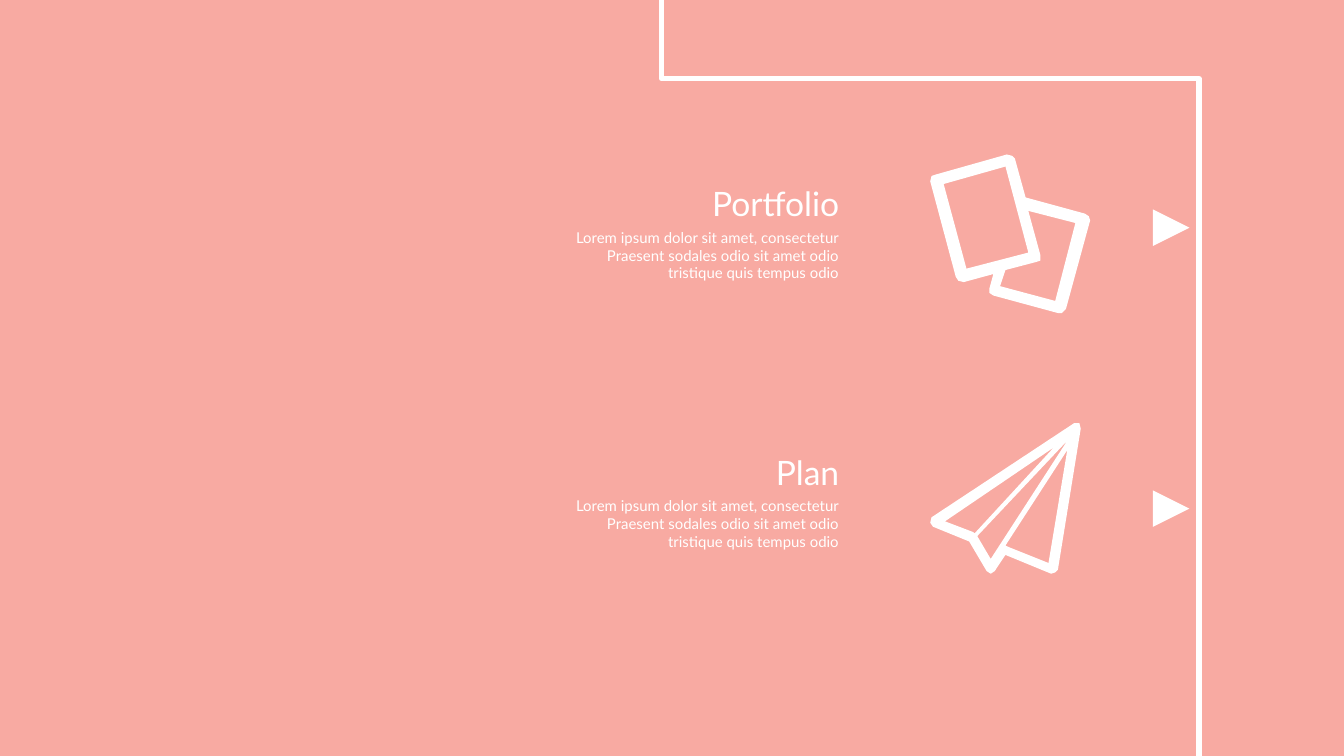
from dataclasses import dataclass

import pptx
import pptx.dml.color
import pptx.enum.shapes
import pptx.enum.text
import pptx.oxml
import pptx.oxml.ns
import pptx.util
from pptx.util import Cm, Pt

Contour = list[tuple[int, int]]

COLORS = {"background": "F8AAA2", "foreground": "FFFFFF"}
FONT = "Lato"
SLIDE_WIDTH, SLIDE_HEIGHT = 25.4, 14.29
TEXT_RIGHT = 16.11
ICON_LEFT = 17.58
ICON_SCALE = Cm(2.54) / 100  # icon points are hundredths of an inch
POINTER_LEFT, POINTER_SIZE = 21.79, 0.69
BODY = ("Lorem ipsum dolor sit amet, consectetur Praesent sodales odio "
        "sit amet odio tristique quis tempus odio")

# Icon outlines: the outer contour first, then the holes
CARDS_ICON: list[Contour] = [
    [(115, 44), (71, 32), (63, 3), (61, 1), (57, 0), (4, 15), (1, 16),
     (0, 20), (19, 91), (21, 94), (25, 95), (47, 89), (44, 100), (44, 103),
     (47, 105), (95, 118), (98, 118), (101, 115), (119, 49), (118, 46)],
    [(10, 22), (56, 9), (73, 73), (27, 85)],
    [(93, 109), (52, 98), (56, 86), (79, 80), (82, 79), (82, 75),
     (73, 42), (108, 51)],
]
PAPER_PLANE_ICON: list[Contour] = [
    [(111, 0), (107, 0), (1, 70), (0, 74), (2, 77), (29, 88), (42, 110),
     (45, 112), (48, 110), (56, 98), (90, 112), (93, 111), (95, 109),
     (112, 4)],
    [(88, 104), (58, 92), (56, 91), (102, 20)],
    [(35, 84), (102, 13), (45, 101)],
    [(11, 73), (92, 18), (33, 82), (32, 81)],
]


@dataclass
class Topic:
    heading: str
    body: str
    text_top: float
    icon_top: float
    pointer_top: float
    icon: list[Contour]


TOPICS = [
    Topic("Portfolio", BODY, 3.33, 2.92, 3.96, CARDS_ICON),
    Topic("Plan", BODY, 8.41, 8.0, 9.27, PAPER_PLANE_ICON),
]


def rgb(name: str) -> pptx.dml.color.RGBColor:
    return pptx.dml.color.RGBColor.from_string(COLORS[name])


def fill_plain(shape) -> None:
    shape.shadow.inherit = False
    shape.fill.solid()
    shape.fill.fore_color.rgb = rgb("foreground")
    shape.line.fill.background()


def add_text(slide, text: str, top: float, width: float, height: float,
             size: int, space_before: float = 0) -> None:
    box = slide.shapes.add_textbox(
        Cm(TEXT_RIGHT - width), Cm(top), Cm(width), Cm(height))
    text_frame = box.text_frame
    text_frame.word_wrap = True
    text_frame.text = text
    paragraph = text_frame.paragraphs[0]
    paragraph.alignment = pptx.enum.text.PP_ALIGN.RIGHT
    paragraph.space_before = Pt(space_before)
    font = paragraph.runs[0].font
    font.name = FONT
    font.size = Pt(size)
    font.color.rgb = rgb("foreground")


def add_icon(slide, contours: list[Contour], top: float) -> None:
    builder = slide.shapes.build_freeform(*contours[0][0], scale=ICON_SCALE)
    for index, contour in enumerate(contours):
        if index:
            builder.move_to(*contour[0])
        builder.add_line_segments(contour[1:], close=True)
    fill_plain(builder.convert_to_shape(Cm(ICON_LEFT), Cm(top)))


def add_pointer(slide, top: float) -> None:
    pointer = slide.shapes.add_shape(
        pptx.enum.shapes.MSO_SHAPE.FLOWCHART_EXTRACT, Cm(POINTER_LEFT),
        Cm(top), Cm(POINTER_SIZE), Cm(POINTER_SIZE))
    pointer.rotation = 90
    fill_plain(pointer)


def add_path(slide, start_x: float, end_x: float, bend: int) -> None:
    """Bent line from the top edge to the bottom edge of the slide."""
    center_x, center_y = (start_x + end_x) / 2, SLIDE_HEIGHT / 2
    half_length, half_span = SLIDE_HEIGHT / 2, (end_x - start_x) / 2
    # Laid out horizontally, then turned a quarter round its centre
    connector = slide.shapes.add_connector(
        pptx.enum.shapes.MSO_CONNECTOR.ELBOW,
        Cm(center_x + half_length), Cm(center_y - half_span),
        Cm(center_x - half_length), Cm(center_y + half_span))
    connector.line.color.rgb = rgb("foreground")
    connector.line.width = Pt(3)
    properties = connector._element.spPr
    properties.find(pptx.oxml.ns.qn("a:xfrm")).set("rot", "16200000")
    geometry = properties.find(pptx.oxml.ns.qn("a:prstGeom"))
    adjustments = geometry.find(pptx.oxml.ns.qn("a:avLst"))
    adjustments.append(pptx.oxml.parse_xml(
        f'<a:gd {pptx.oxml.ns.nsdecls("a")} name="adj1" fmla="val {bend}"/>'))
    properties.append(pptx.oxml.parse_xml(
        f'<a:effectLst {pptx.oxml.ns.nsdecls("a")}/>'))


def main() -> None:
    presentation = pptx.Presentation()
    presentation.slide_width = Cm(SLIDE_WIDTH)
    presentation.slide_height = Cm(SLIDE_HEIGHT)
    slide = presentation.slides.add_slide(presentation.slide_layouts[6])
    slide.background.fill.solid()
    slide.background.fill.fore_color.rgb = rgb("background")

    # Path down the right side
    add_path(slide, 12.5, 22.66, 10400)

    # Topics along the path
    for topic in TOPICS:
        add_icon(slide, topic.icon, topic.icon_top)
        add_pointer(slide, topic.pointer_top)
        add_text(slide, topic.body, topic.text_top + 0.86, 5.52, 1.27, 8, 2.1)
        add_text(slide, topic.heading, topic.text_top, 3.4, 1.02, 18)

    presentation.save("out.pptx")


if __name__ == "__main__":
    main()
